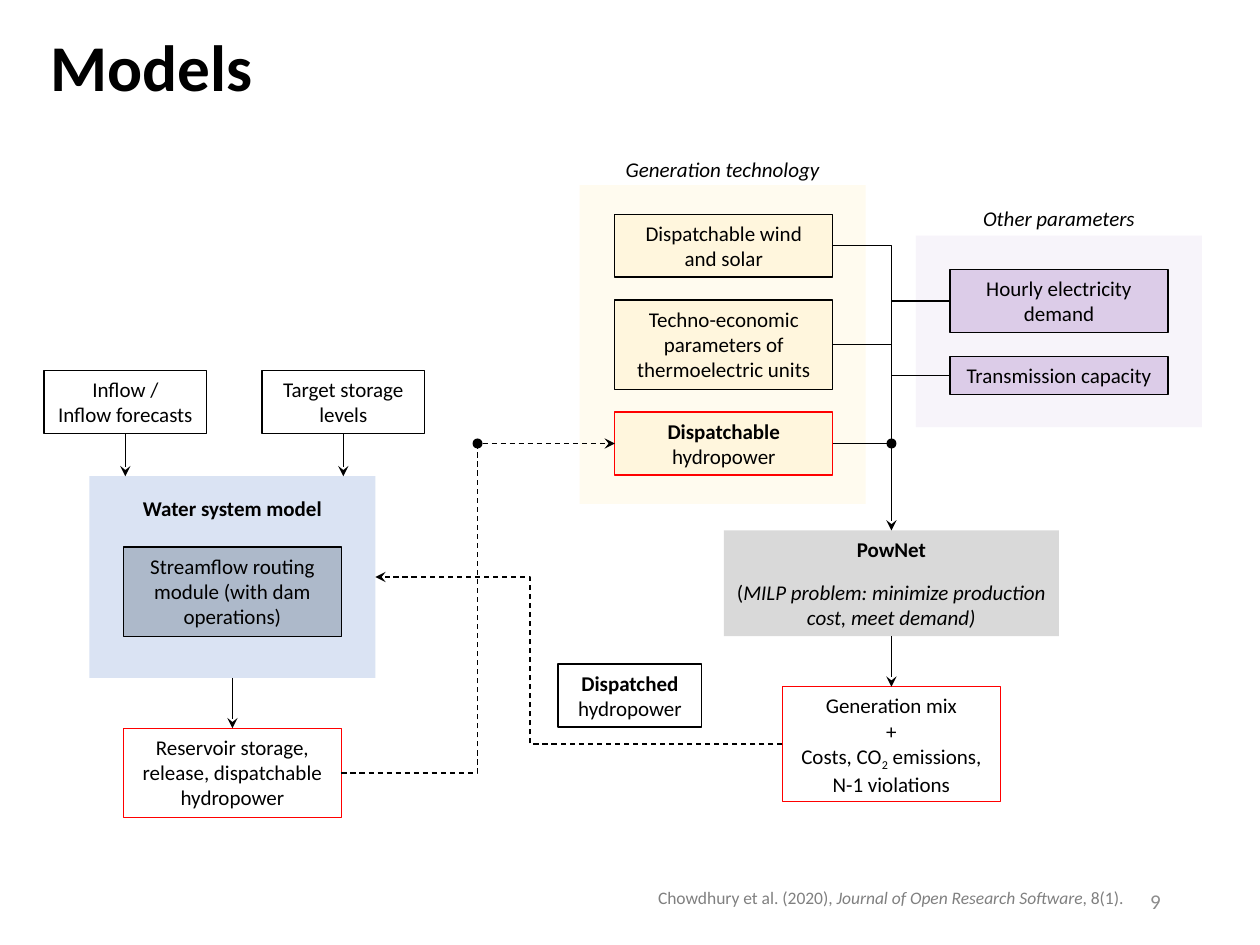
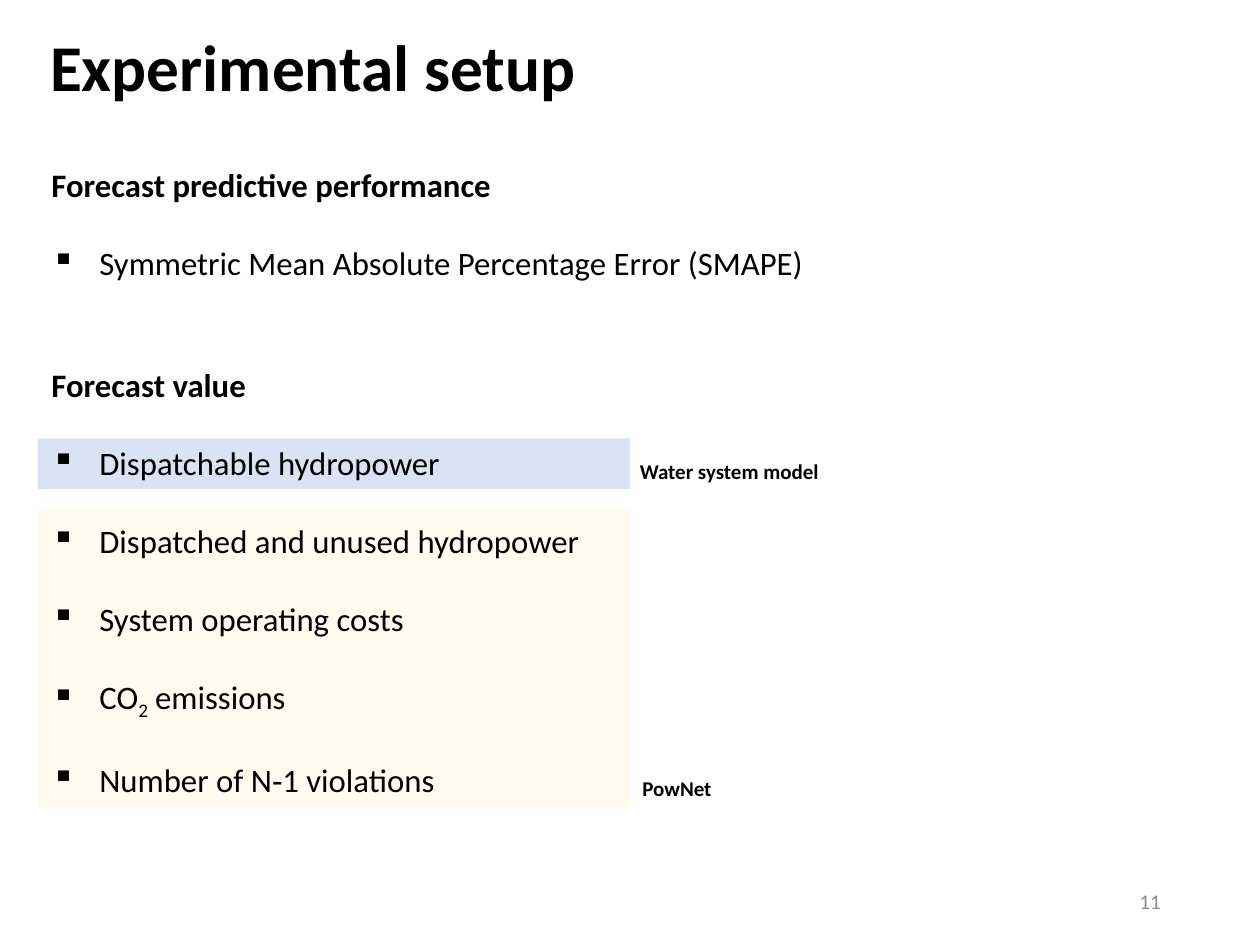
"""Build two slides: a flow chart of the linked models and the experimental setup."""
from dataclasses import dataclass, field
from typing import NamedTuple, Optional, Union

from lxml.etree import SubElement
from pptx import Presentation
from pptx.dml.color import RGBColor
from pptx.enum.dml import MSO_LINE
from pptx.enum.shapes import MSO_CONNECTOR, MSO_SHAPE
from pptx.enum.text import MSO_ANCHOR, PP_ALIGN
from pptx.oxml.ns import qn
from pptx.shapes.autoshape import Shape
from pptx.slide import Slide
from pptx.util import Emu, Inches, Pt

WIDTH, HEIGHT = Inches(10), Inches(7.5)
COLUMN, ROW = WIDTH / 100, HEIGHT / 75

BLACK = RGBColor(0x00, 0x00, 0x00)
RED = RGBColor(0xFF, 0x00, 0x00)
WHITE = RGBColor(0xFF, 0xFF, 0xFF)
CREAM = RGBColor(0xFF, 0xF2, 0xCC)
YELLOW = RGBColor(0xFF, 0xE6, 0x99)
PURPLE = RGBColor(0x70, 0x30, 0xA0)
PALE_BLUE = RGBColor(0xDA, 0xE3, 0xF3)
SLATE = RGBColor(0xAD, 0xB9, 0xCA)
LIGHT_GREY = RGBColor(0xD9, 0xD9, 0xD9)
CITATION_GREY = RGBColor(0x80, 0x80, 0x80)
NUMBER_GREY = RGBColor(0x8C, 0x8C, 0x8C)

FONT = "Calibri"
LINE_WIDTH = Pt(0.75)
BODY, HEADING, TITLE, CITATION = Pt(12), Pt(18.7), Pt(37.3), Pt(10)
BOLD, ITALIC = {"bold": True}, {"italic": True}
CENTER = PP_ALIGN.CENTER
TOP, LEFT, BOTTOM, RIGHT = range(4)
PANEL_WIDTH, BOX_WIDTH, INPUT_WIDTH = 22.7, 17.3, 12.9
LABEL_ROW, TWO_ROWS, THREE_ROWS = 3, 5, 7.1
TRUNK, HYDRO_ROW = 70.75, 35.2
DOT = 0.8


class Span(NamedTuple):
    """A stretch of text with one format."""
    text: str
    format: dict = {}
    subscript: bool = False


class Para(NamedTuple):
    """A paragraph with its gap above, in points, and its bullet."""
    spans: tuple
    gap: float = 0
    bullet: str = ""
    indent: float = 0


class Joint(NamedTuple):
    """The middle of one side of a named box."""
    name: str
    side: int


End = Union[Joint, tuple]


@dataclass
class Box:
    """A rectangle or text box placed in columns and rows."""
    left: float
    top: float
    width: float
    height: float
    paras: list = field(default_factory=list)
    name: str = ""
    fill: Optional[RGBColor] = None
    opacity: int = 100
    line: Optional[RGBColor] = None
    size: Pt = BODY
    color: RGBColor = BLACK
    align: PP_ALIGN = CENTER
    anchor: MSO_ANCHOR = MSO_ANCHOR.TOP
    outline: MSO_SHAPE = MSO_SHAPE.RECTANGLE


@dataclass
class Link:
    """A line between two ends; bend is the share of the run before the turn."""
    start: End
    end: End
    arrow: bool = False
    dashed: bool = False
    bend: Optional[float] = None


def across(columns: float) -> Emu:
    """Turn columns into a length."""
    return Emu(round(columns * COLUMN))


def down(rows: float) -> Emu:
    """Turn rows into a length."""
    return Emu(round(rows * ROW))


def plain(*lines: str, **format: bool) -> list:
    """Make one paragraph of one span from each line."""
    return [Para((Span(line, format),)) for line in lines]


def write(shape: Shape, box: Box) -> None:
    """Write the paragraphs of a box into its shape."""
    frame = shape.text_frame
    frame.word_wrap = True
    frame.vertical_anchor = box.anchor
    for index, para in enumerate(box.paras):
        paragraph = frame.add_paragraph() if index else frame.paragraphs[0]
        paragraph.alignment = box.align
        paragraph.space_before = Pt(para.gap)
        if para.indent:
            properties = paragraph._p.get_or_add_pPr()
            properties.set("marL", str(across(para.indent)))
            if para.bullet:
                properties.set("indent", str(-across(para.indent - 0.1)))
                SubElement(properties, qn("a:buChar")).set("char", para.bullet)
        for span in para.spans:
            run = paragraph.add_run()
            run.text = span.text
            values = {"name": FONT, "size": box.size, **span.format}
            for attribute, value in values.items():
                setattr(run.font, attribute, value)
            run.font.color.rgb = box.color
            if span.subscript:
                run._r.get_or_add_rPr().set("baseline", "-25000")


def draw_box(page: Slide, box: Box) -> Shape:
    """Draw a box with its fill, line and text."""
    place = across(box.left), down(box.top), across(box.width), down(box.height)
    if box.fill is None and box.line is None:
        shape = page.shapes.add_textbox(*place)
    else:
        shape = page.shapes.add_shape(box.outline, *place)
        shape.shadow.inherit = False
        if box.fill is None:
            shape.fill.background()
        else:
            shape.fill.solid()
            shape.fill.fore_color.rgb = box.fill
            if box.opacity < 100:
                color = shape._element.spPr.find(qn("a:solidFill"))[0]
                SubElement(color, qn("a:alpha")).set("val", str(box.opacity * 1000))
        if box.line is None:
            shape.line.fill.background()
        else:
            shape.line.color.rgb = box.line
            shape.line.width = LINE_WIDTH
    if box.paras:
        write(shape, box)
    return shape


def locate(end: End, shapes: dict) -> tuple:
    """Find where a link ends on the slide."""
    if not isinstance(end, Joint):
        return across(end[0]), down(end[1])
    shape = shapes[end.name]
    share_x, share_y = {TOP: (0.5, 0), LEFT: (0, 0.5), BOTTOM: (0.5, 1), RIGHT: (1, 0.5)}[end.side]
    return (Emu(round(shape.left + shape.width * share_x)),
            Emu(round(shape.top + shape.height * share_y)))


def draw_link(page: Slide, link: Link, shapes: dict) -> None:
    """Draw a straight or bent link and join straight ones to their boxes."""
    kind = MSO_CONNECTOR.STRAIGHT if link.bend is None else MSO_CONNECTOR.ELBOW
    connector = page.shapes.add_connector(
        kind, *locate(link.start, shapes), *locate(link.end, shapes))
    connector.line.color.rgb = BLACK
    connector.line.width = LINE_WIDTH
    if link.dashed:
        connector.line.dash_style = MSO_LINE.DASH
    properties = connector._element.spPr
    if link.arrow:
        SubElement(properties.find(qn("a:ln")), qn("a:tailEnd")).set("type", "stealth")
    SubElement(properties, qn("a:effectLst"))
    if link.bend is None:
        for end, join in ((link.start, connector.begin_connect), (link.end, connector.end_connect)):
            if isinstance(end, Joint):
                join(shapes[end.name], end.side)
        return
    geometry = properties.find(qn("a:prstGeom"))
    if link.bend == 1:
        geometry.set("prst", "bentConnector2")
    else:
        guide = SubElement(geometry.find(qn("a:avLst")), qn("a:gd"))
        guide.set("name", "adj1")
        guide.set("fmla", f"val {round(link.bend * 100000)}")


def add_page(deck: Presentation, title: str, number: int, boxes: list, links: list) -> None:
    """Add a slide with its title, number, boxes and links."""
    page = deck.slides.add_slide(deck.slide_layouts[6])
    page.background.fill.solid()
    page.background.fill.fore_color.rgb = WHITE
    frame_boxes = [
        Box(3, 1.6, 92.5, 7.3, plain(title, bold=True), size=TITLE, align=PP_ALIGN.LEFT),
        Box(70.6, 69.5, 22.5, 4, plain(str(number)), color=NUMBER_GREY,
            align=PP_ALIGN.RIGHT, anchor=MSO_ANCHOR.MIDDLE),
    ]
    shapes = {}
    for box in boxes + frame_boxes:
        shapes[box.name] = draw_box(page, box)
    for link in links:
        draw_link(page, link, shapes)


def dot(column: float) -> Box:
    """Make a junction dot on the hydropower row."""
    return Box(column - DOT / 2, HYDRO_ROW - DOT / 2, DOT, DOT, fill=BLACK, outline=MSO_SHAPE.OVAL)


def bullet(*spans: Span) -> Para:
    """Make a bulleted paragraph."""
    return Para(spans, gap=22, bullet="▪", indent=3.9)


def heading(text: str) -> Para:
    """Make a bold heading paragraph."""
    return Para((Span(text, BOLD),), indent=0.1)


HYDROPOWER = Span(" hydropower")
CO2 = (Span("CO"), Span("2", subscript=True))
TECHNOLOGY = {"fill": YELLOW, "opacity": 20}
PARAMETER = {"fill": PURPLE, "opacity": 20, "line": BLACK}

MODEL_BOXES = [
    Box(72.7, 18.7, PANEL_WIDTH, 15.2, fill=PURPLE, opacity=5),
    Box(46, 14.7, PANEL_WIDTH, 25.3, fill=CREAM, opacity=30),
    Box(7.1, 37.8, PANEL_WIDTH, 16, name="water", fill=PALE_BLUE),
    Box(7.1, 38.8, PANEL_WIDTH, LABEL_ROW, plain("Water system model", bold=True)),
    Box(46, 11.9, PANEL_WIDTH, LABEL_ROW, plain("Generation technology", italic=True)),
    Box(72.7, 15.8, PANEL_WIDTH, LABEL_ROW, plain("Other parameters", italic=True)),
    Box(3.5, 29.4, INPUT_WIDTH, TWO_ROWS, plain("Inflow /", "Inflow forecasts"), "inflow", line=BLACK),
    Box(20.8, 29.4, INPUT_WIDTH, TWO_ROWS, plain("Target storage levels"), "target", line=BLACK),
    Box(9.8, 43.4, BOX_WIDTH, THREE_ROWS,
        plain("Streamflow routing module (with dam operations)"), fill=SLATE, line=BLACK),
    Box(9.8, 57.8, BOX_WIDTH, THREE_ROWS,
        plain("Reservoir storage, release, dispatchable hydropower"), "reservoir", line=RED),
    Box(48.8, 17, BOX_WIDTH, TWO_ROWS, plain("Dispatchable wind", "and solar"),
        "wind", line=BLACK, **TECHNOLOGY),
    Box(48.8, 23.8, BOX_WIDTH, THREE_ROWS,
        plain("Techno-economic parameters of thermoelectric units"), "thermal", line=BLACK, **TECHNOLOGY),
    Box(48.8, 32.7, BOX_WIDTH, TWO_ROWS, [Para((Span("Dispatchable", BOLD), HYDROPOWER))],
        "hydro", line=RED, **TECHNOLOGY),
    Box(75.4, 21.4, BOX_WIDTH, TWO_ROWS, plain("Hourly electricity demand"), "demand", **PARAMETER),
    Box(75.4, 28.3, BOX_WIDTH, LABEL_ROW, plain("Transmission capacity"), "transmission", **PARAMETER),
    Box(57.45, 42.1, 26.6, 8.4, [
        Para((Span("PowNet", BOLD),)),
        Para((Span("("), Span("MILP problem: minimize production cost, meet demand)", ITALIC)), gap=10),
    ], "pownet", fill=LIGHT_GREY),
    Box(62.1, 54.5, BOX_WIDTH, 9.1, plain("Generation mix", "+") + [
        Para((Span("Costs, "), *CO2, Span(" emissions, N-1 violations")))], "mix", line=RED),
    Box(44.3, 52.7, 11.4, TWO_ROWS, [Para((Span("Dispatched", BOLD), HYDROPOWER))], line=BLACK),
    dot(TRUNK),
    dot(37.9),
    Box(46, 69.9, 49.4, 2.7, [Para((Span("Chowdhury et al. (2020), "),
                                    Span("Journal of Open Research Software", ITALIC),
                                    Span(", 8(1).")))], size=CITATION, color=CITATION_GREY),
]

MODEL_LINKS = [
    Link(Joint("inflow", BOTTOM), (9.95, 37.8), arrow=True),
    Link(Joint("target", BOTTOM), (27.25, 37.8), arrow=True),
    Link(Joint("water", BOTTOM), Joint("reservoir", TOP), arrow=True),
    Link(Joint("pownet", BOTTOM), Joint("mix", TOP), arrow=True),
    Link((TRUNK, HYDRO_ROW), Joint("pownet", TOP), arrow=True),
    Link(Joint("hydro", RIGHT), (TRUNK, HYDRO_ROW)),
    Link(Joint("thermal", RIGHT), (TRUNK, HYDRO_ROW), bend=1),
    Link(Joint("wind", RIGHT), (TRUNK, 27.35), bend=1),
    Link((TRUNK, 23.9), Joint("demand", LEFT)),
    Link((TRUNK, 29.8), Joint("transmission", LEFT)),
    Link(Joint("reservoir", RIGHT), (37.9, HYDRO_ROW), dashed=True, bend=1),
    Link((38.3, HYDRO_ROW), Joint("hydro", LEFT), arrow=True, dashed=True),
    Link(Joint("mix", LEFT), Joint("water", RIGHT), arrow=True, dashed=True, bend=0.62),
]

LIST_STYLE = {"size": HEADING, "align": PP_ALIGN.LEFT}
SETUP_BOXES = [
    Box(3, 40.4, 47, 23.7, fill=CREAM, opacity=30),
    Box(3, 34.8, 47, 4, fill=PALE_BLUE),
    Box(3, 12.6, 90.9, 10.4, [heading("Forecast predictive performance"),
        bullet(Span("Symmetric Mean Absolute Percentage Error (SMAPE)"))], **LIST_STYLE),
    Box(3, 28.5, 56.2, 35.6, [
        heading("Forecast value"),
        bullet(Span("Dispatchable hydropower")),
        bullet(Span("Dispatched and unused hydropower")),
        bullet(Span("System operating costs")),
        bullet(*CO2, Span(" emissions")),
        bullet(Span("Number of N‐1 violations")),
    ], **LIST_STYLE),
    Box(49.8, 35.9, PANEL_WIDTH, LABEL_ROW, plain("Water system model", bold=True), align=PP_ALIGN.LEFT),
    Box(50, 61.1, PANEL_WIDTH, LABEL_ROW, plain("PowNet", bold=True), align=PP_ALIGN.LEFT),
]


def main() -> None:
    """Build and save the deck."""
    deck = Presentation()
    deck.slide_width, deck.slide_height = WIDTH, HEIGHT
    add_page(deck, "Models", 9, MODEL_BOXES, MODEL_LINKS)
    add_page(deck, "Experimental setup", 11, SETUP_BOXES, [])
    deck.save("out.pptx")


if __name__ == "__main__":
    main()
